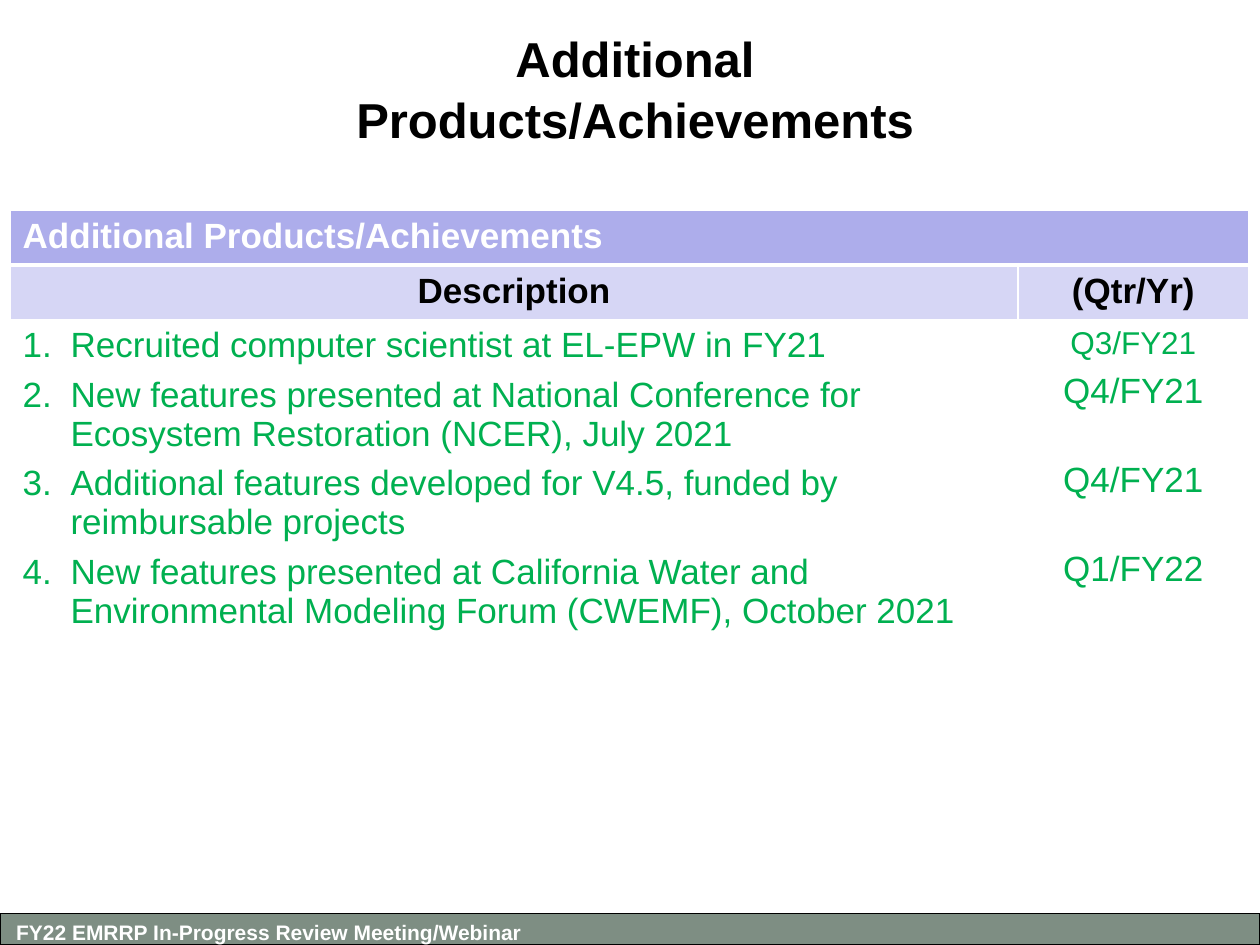
from pptx import Presentation
from pptx import util as u
from pptx.dml.color import RGBColor
from pptx.enum import shapes, text
from pptx.oxml import parse_xml
from pptx.oxml.ns import nsdecls

TITLE = "Additional Products/Achievements"
FOOTER = "FY22 EMRRP In-Progress Review Meeting/Webinar"
HEADS = ["Description", "(Qtr/Yr)"]
# Item, quarter, quarter size, space after the quarter
ITEMS = [
    ("Recruited computer scientist at EL-EPW in FY21", "Q3/FY21", 18, 6),
    ("New features presented at National Conference for Ecosystem "
     "Restoration (NCER), July 2021", "Q4/FY21", 20, 28.5),
    ("Additional features developed for V4.5, funded by reimbursable "
     "projects", "Q4/FY21", 20, 28.5),
    ("New features presented at California Water and Environmental "
     "Modeling Forum (CWEMF), October 2021", "Q1/FY22", 20, 3),
]
COLS = [8, 1.83]
ROWS = [0.41, 0.42, 2.45]
WHITE, BLACK, GREEN = "FFFFFF", "000000", "00B050"
CENTER = text.PP_ALIGN.CENTER


def tint(color):
    return RGBColor.from_string(color)


def paint(part, color):
    part.fill.solid()
    part.fill.fore_color.rgb = tint(color)


def write(para, words, size, color, bold=True, **form):
    run = para.add_run()
    run.text = words
    look = {"name": "Arial", "size": u.Pt(size), "bold": bold}
    for key, val in look.items():
        setattr(run.font, key, val)
    run.font.color.rgb = tint(color)
    for key, val in form.items():
        setattr(para, key, val)


def lines(frame, count):
    return [frame.paragraphs[0]] + [frame.add_paragraph() for _ in range(count - 1)]


def number(para):
    props = para._p.get_or_add_pPr()
    props.set("marL", str(u.Inches(0.38)))
    props.set("indent", str(u.Inches(-0.38)))
    props.append(parse_xml(f'<a:buFont {nsdecls("a")} typeface="+mj-lt"/>'))
    props.append(parse_xml(f'<a:buAutoNum {nsdecls("a")} type="arabicPeriod"/>'))


def edge(cell, **wide):
    props = cell._tc.get_or_add_tcPr()
    for spot, side in enumerate(("lnL", "lnR", "lnT", "lnB")):
        props.insert(spot, parse_xml(
            f'<a:{side} {nsdecls("a")} w="{u.Pt(wide.get(side, 1))}"><a:solidFill>'
            f'<a:srgbClr val="{WHITE}"/></a:solidFill></a:{side}>'))


def box(slide, place, wrap, anchor):
    frame = slide.shapes.add_textbox(*map(u.Inches, place)).text_frame
    frame.word_wrap = wrap
    frame.vertical_anchor = anchor
    return frame.paragraphs[0]


def main():
    deck = Presentation()
    deck.slide_width, deck.slide_height = u.Inches(10), u.Inches(7.5)
    slide = deck.slides.add_slide(deck.slide_layouts[6])

    # Footer bar
    bar = slide.shapes.add_shape(shapes.MSO_SHAPE.RECTANGLE,
                                 *map(u.Inches, (0, 7.25, 10, 0.25)))
    bar.shadow.inherit = False
    paint(bar, "7E8E83")
    bar.line.color.rgb = tint(BLACK)
    bar.line.width = u.Pt(0.75)
    write(box(slide, (0.03, 7.25, 4.3, 0.3), False, text.MSO_ANCHOR.TOP),
          FOOTER, 12, WHITE)

    # Title
    write(box(slide, (1.83, 0.17, 6.42, 1.04), True, text.MSO_ANCHOR.MIDDLE),
          TITLE, 28, BLACK, alignment=CENTER, line_spacing=1.05)

    # Table grid
    grid = slide.shapes.add_table(
        len(ROWS), len(COLS),
        *map(u.Inches, (0.08, 1.67, sum(COLS), sum(ROWS)))).table
    for col, wide in zip(grid.columns, COLS):
        col.width = u.Inches(wide)
    for row, high in zip(grid.rows, ROWS):
        row.height = u.Inches(high)
    rules = [{"lnB": 3}, {"lnT": 3}, {}]
    for row, fill, rule in zip(grid.rows, ["ADADEB", "D6D6F5", None], rules):
        for cell in row.cells:
            if fill:
                paint(cell, fill)
            else:
                cell.fill.background()
            edge(cell, **rule)

    # Table headings
    grid.cell(0, 0).merge(grid.cell(0, 1))
    write(grid.cell(0, 0).text_frame.paragraphs[0], TITLE, 20, WHITE)
    for spot, head in enumerate(HEADS):
        write(grid.cell(1, spot).text_frame.paragraphs[0], head, 20, BLACK,
              alignment=CENTER)

    # Items and their quarters
    left, right = (lines(grid.cell(2, spot).text_frame, len(ITEMS))
                   for spot in range(2))
    for (item, when, size, gap), note, date in zip(ITEMS, left, right):
        number(note)
        write(note, item, 20, GREEN, False, space_after=u.Pt(6))
        write(date, when, size, GREEN, False, alignment=CENTER,
              space_after=u.Pt(gap))

    deck.save("out.pptx")


if __name__ == "__main__":
    main()
